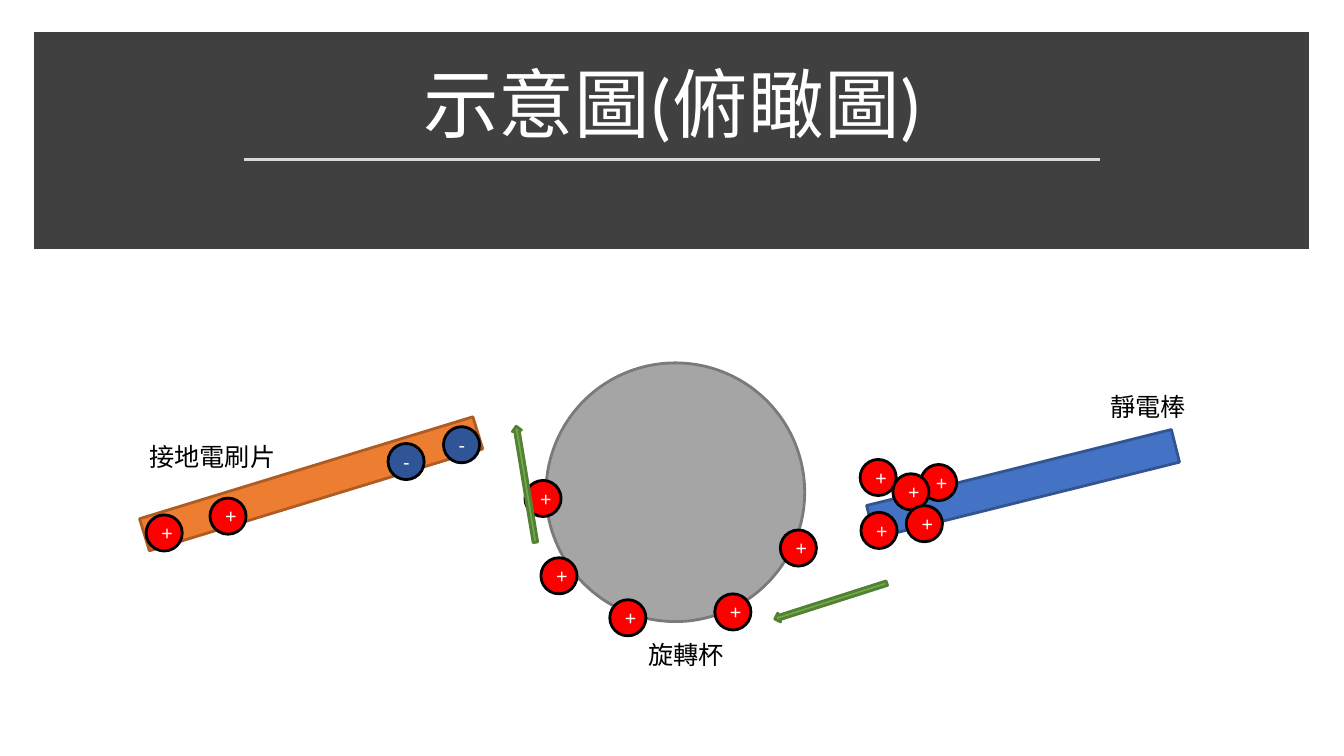
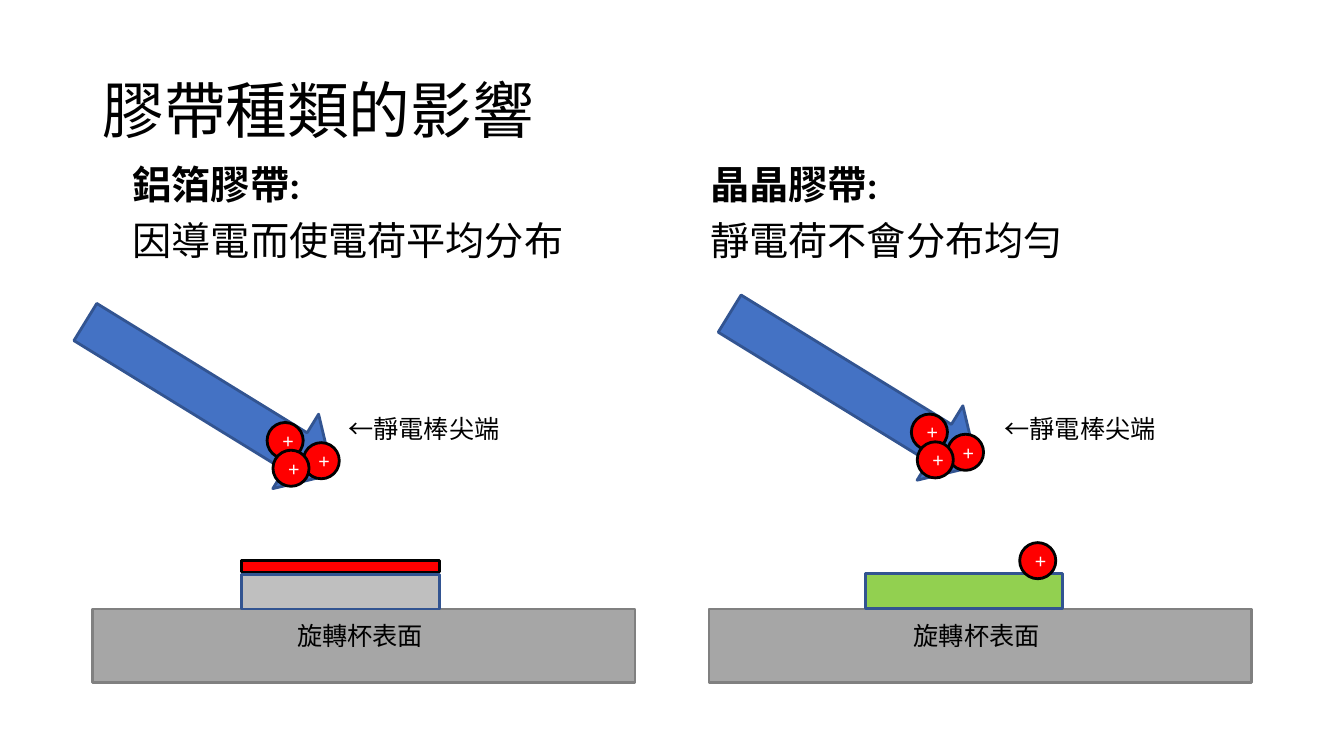
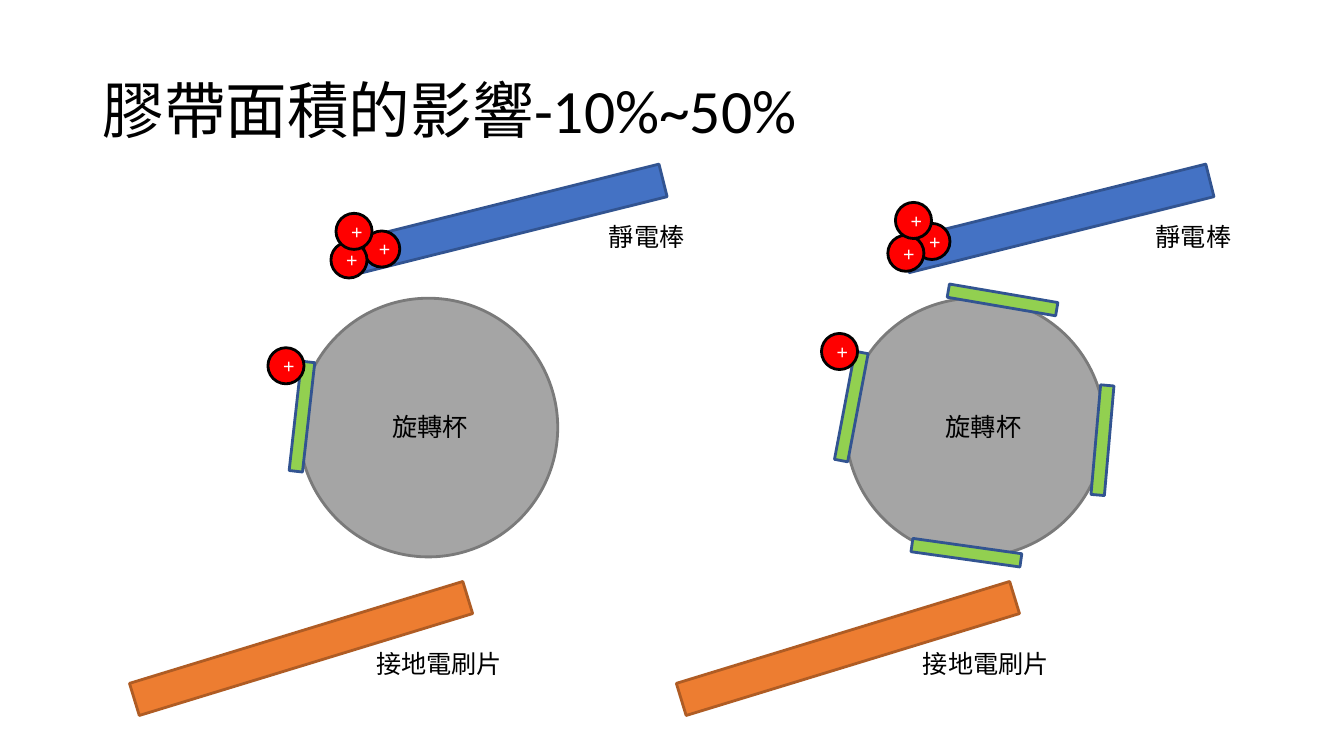
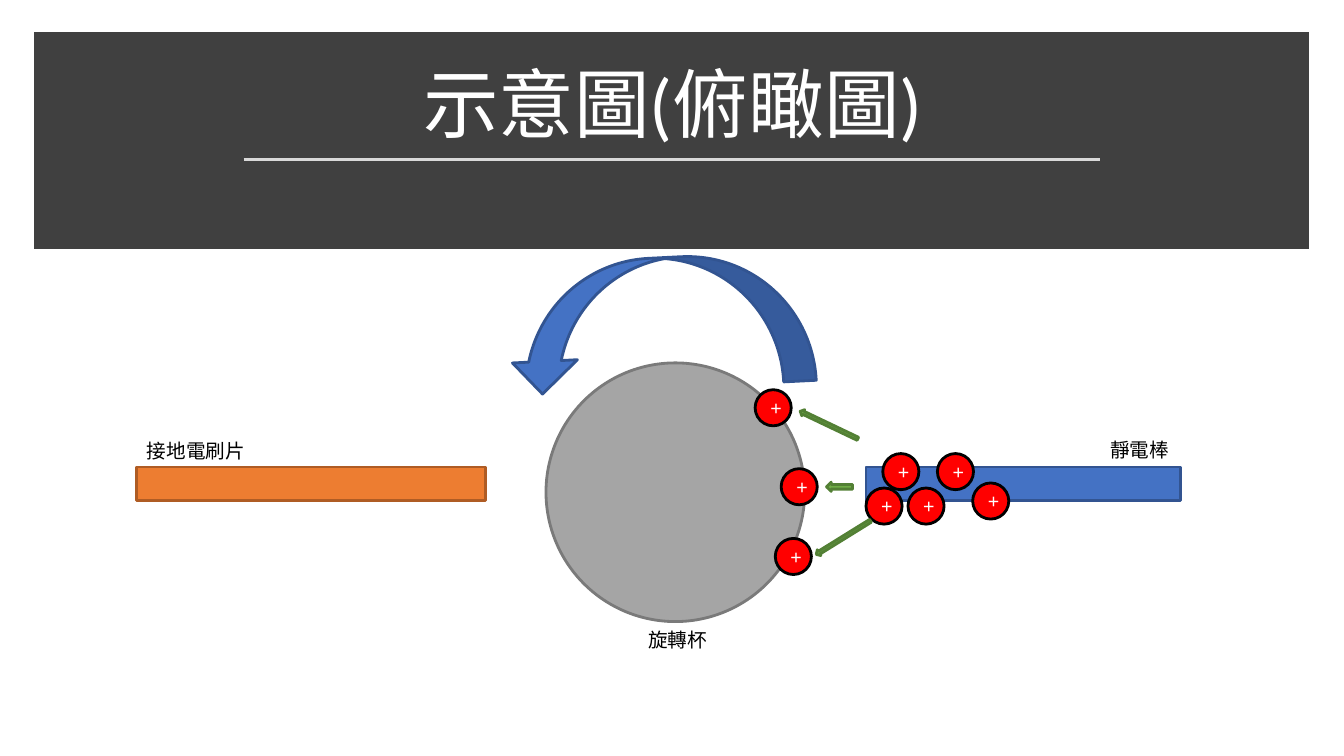
"""Build four slides on how charge moves in an electrostatic rotating cup."""
from dataclasses import dataclass, replace

from lxml import etree
from pptx import Presentation
from pptx.dml.color import RGBColor
from pptx.enum.shapes import MSO_CONNECTOR, MSO_SHAPE
from pptx.enum.text import MSO_ANCHOR, MSO_AUTO_SIZE, PP_ALIGN
from pptx.oxml.ns import qn
from pptx.util import Emu, Pt

RECTANGLE = MSO_SHAPE.RECTANGLE
OVAL = MSO_SHAPE.OVAL
RIGHT_ARROW = MSO_SHAPE.RIGHT_ARROW
DOWN_ARROW = MSO_SHAPE.DOWN_ARROW
CURVED_ARROW = MSO_SHAPE.CURVED_RIGHT_ARROW
LEFT, CENTER = PP_ALIGN.LEFT, PP_ALIGN.CENTER
TOP, MIDDLE, BOTTOM = MSO_ANCHOR.TOP, MSO_ANCHOR.MIDDLE, MSO_ANCHOR.BOTTOM

WHITE = RGBColor(0xFF, 0xFF, 0xFF)
BLACK = RGBColor(0, 0, 0)
CHARCOAL = RGBColor(0x40, 0x40, 0x40)
SILVER = RGBColor(0xD9, 0xD9, 0xD9)
RED = RGBColor(0xFF, 0, 0)
NAVY = RGBColor(0x2F, 0x55, 0x97)
BLUE = RGBColor(0x44, 0x72, 0xC4)
BLUE_EDGE = RGBColor(0x32, 0x54, 0x91)
ORANGE = RGBColor(0xED, 0x7D, 0x31)
ORANGE_EDGE = RGBColor(0xAF, 0x5C, 0x24)
CUP_GRAY = RGBColor(0xA5, 0xA5, 0xA5)
CUP_EDGE = RGBColor(0x7A, 0x7A, 0x7A)
SURFACE_GRAY = RGBColor(0xA6, 0xA6, 0xA6)
SURFACE_EDGE = RGBColor(0x80, 0x80, 0x80)
FOIL_GRAY = RGBColor(0xBF, 0xBF, 0xBF)
TAPE_GREEN = RGBColor(0x92, 0xD0, 0x50)
ARROW_GREEN = RGBColor(0x70, 0xAD, 0x47)
ARROW_EDGE = RGBColor(0x53, 0x80, 0x35)

COLUMNS, ROWS = 160, 90
CELL = 76200
TITLE_FONT, LABEL_FONT = "Calibri", "Arial"
TITLE_ONLY, TITLE_AND_BODY = 5, 1
CHARGE_SIZE, CUP_SIZE = 4.3, 30.8
ROD_TEXT, BRUSH_TEXT, CUP_TEXT = "靜電棒", "接地電刷片", "旋轉杯"


@dataclass(frozen=True)
class Box:
    """Place, size (in grid cells) and turn (in degrees) of an element."""
    left: float
    top: float
    width: float
    height: float
    turn: float = 0

    def moved(self, columns: float, rows: float = 0) -> "Box":
        """Return the same box shifted on the grid."""
        return replace(self, left=self.left + columns, top=self.top + rows)


@dataclass(frozen=True)
class Look:
    """Fill and outline of a shape."""
    fill: RGBColor
    edge: RGBColor
    weight: float = 2


@dataclass(frozen=True)
class Label:
    """Short caption beside a part of the drawing."""
    text: str
    left: float
    top: float
    width: float


@dataclass(frozen=True)
class Panel:
    """One cup with its tapes and charges."""
    shift: float
    cup_label: float
    tapes: tuple[Box, ...]
    charges: tuple[tuple[float, float], ...]


BAND = Look(CHARCOAL, CHARCOAL, 10)
ROD = Look(BLUE, BLUE_EDGE)
BRUSH = Look(ORANGE, ORANGE_EDGE)
CUP = Look(CUP_GRAY, CUP_EDGE)
SURFACE = Look(SURFACE_GRAY, SURFACE_EDGE)
FOIL = Look(FOIL_GRAY, BLUE_EDGE)
TAPE = Look(TAPE_GREEN, BLUE_EDGE)
POSITIVE = Look(RED, BLACK)
NEGATIVE = Look(NAVY, BLACK)
MOTION = Look(ARROW_GREEN, ARROW_EDGE)

PANELS = (
    Panel(0, 45.5, (Box(29.4, 48.8, 13.1, 1.6, 96.4),),
          ((43.3, 27.5), (39.4, 28.8), (40, 25.4), (31.9, 41.4))),
    Panel(65.1, 111.4,
          (Box(94.8, 47.6, 13.1, 1.6, 100.7), Box(112.8, 34.9, 13.1, 1.6, 189.7),
           Box(108.5, 65, 13.1, 1.6, 8), Box(124.7, 51.6, 13.1, 1.6, 275)),
          ((108.8, 26.6), (105.7, 28), (97.8, 39.7), (106.6, 24.1))),
)


def cells(count: float) -> Emu:
    """Turn grid cells into a length."""
    return Emu(round(count * CELL))


def frame_of(box: Box) -> tuple[Emu, Emu, Emu, Emu]:
    """Return left, top, width and height of a box as lengths."""
    return cells(box.left), cells(box.top), cells(box.width), cells(box.height)


def place(shape, box: Box) -> None:
    """Move a placeholder to a box."""
    shape.left, shape.top, shape.width, shape.height = frame_of(box)


def write(para, text: str, *, size: float, font: str = LABEL_FONT,
          color: RGBColor = BLACK, bold: bool = False, align=LEFT,
          spacing: float | None = None, before: float = 0) -> None:
    """Put formatted text into a paragraph."""
    para.alignment = align
    para.line_spacing = spacing
    para.space_before = Pt(before)
    span = para.add_run()
    span.text = text
    span.font.name = font
    span.font.size = Pt(size)
    span.font.bold = bold
    span.font.color.rgb = color


def add_part(page, kind, box: Box, look: Look):
    """Draw a preset shape."""
    shape = page.shapes.add_shape(kind, *frame_of(box))
    shape.rotation = box.turn
    shape.shadow.inherit = False
    shape.fill.solid()
    shape.fill.fore_color.rgb = look.fill
    shape.line.color.rgb = look.edge
    shape.line.width = Pt(look.weight)
    return shape


def add_charges(page, places, sign: str = "+", look: Look = POSITIVE) -> None:
    """Draw round charges carrying their sign."""
    for left, top in places:
        ball = add_part(page, OVAL, Box(left, top, CHARGE_SIZE, CHARGE_SIZE), look)
        write(ball.text_frame.paragraphs[0], sign, size=14, color=WHITE, align=CENTER)


def add_labels(page, labels, size: float = 18) -> None:
    """Draw captions that grow with their text."""
    for label in labels:
        box = Box(label.left, label.top, label.width, 4.8 if size == 18 else 4.1)
        frame = page.shapes.add_textbox(*frame_of(box)).text_frame
        frame.word_wrap = True
        frame.auto_size = MSO_AUTO_SIZE.SHAPE_TO_FIT_TEXT
        write(frame.paragraphs[0], label.text, size=size)


def add_cup(page, left: float, top: float) -> None:
    """Draw the rotating cup seen from above."""
    add_part(page, OVAL, Box(left, top, CUP_SIZE, CUP_SIZE), CUP)


def add_rod(page, left: float, top: float, turn: float = 346) -> None:
    """Draw the charged rod."""
    add_part(page, RECTANGLE, Box(left, top, 37.4, 4, turn), ROD)


def add_brush(page, left: float, top: float, turn: float = 343) -> None:
    """Draw the grounded brush."""
    add_part(page, RECTANGLE, Box(left, top, 41.5, 4, turn), BRUSH)


def set_title(page, text: str, box: Box, *, anchor=MIDDLE, **style) -> None:
    """Fill and place the title placeholder."""
    title = page.shapes.title
    place(title, box)
    frame = title.text_frame
    frame.auto_size = MSO_AUTO_SIZE.NONE
    frame.vertical_anchor = anchor
    write(frame.paragraphs[0], text, font=TITLE_FONT, spacing=0.9, **style)


def new_page(deck, layout: int):
    """Add a slide without date, footer or number."""
    return deck.slides.add_slide(deck.slide_layouts[layout])


def plain_page(deck, title: str, layout: int = TITLE_ONLY):
    """Add a slide with a black title at the left."""
    page = new_page(deck, layout)
    set_title(page, title, Box(11, 4.8, 138, 17.4), size=44)
    return page


def overview_page(deck, rod_turn: float, brush_turn: float):
    """Add a slide with the dark title band, the cup, the rod and the brush."""
    page = new_page(deck, TITLE_ONLY)
    band = add_part(page, RECTANGLE, Box(4.9, 4.6, 150.1, 24.2), BAND)
    etree.SubElement(band.line._get_or_add_ln(), qn("a:miter"), lim="800000")
    set_title(page, "示意圖(俯瞰圖)", Box(7, 6.1, 146.2, 12.2),
              anchor=BOTTOM, size=54, color=WHITE, align=CENTER)
    title = page.shapes.title.element
    title.getparent().append(title)
    rule = page.shapes.add_connector(MSO_CONNECTOR.STRAIGHT, cells(29), cells(19),
                                     cells(131), cells(19))
    rule.line.color.rgb = SILVER
    rule.line.width = Pt(1.75)
    etree.SubElement(rule.element.spPr, qn("a:effectLst"))
    add_cup(page, 65, 43.2)
    add_rod(page, 103.1, 55.6, rod_turn)
    add_brush(page, 16.3, 55.6, brush_turn)
    return page


def fill_notes(frame, heading: str, detail: str) -> None:
    """Write a bold heading and a line of detail without bullets."""
    frame.word_wrap = True
    frame.auto_size = MSO_AUTO_SIZE.NONE
    frame.vertical_anchor = TOP
    for para, text, bold in ((frame.paragraphs[0], heading, True),
                             (frame.add_paragraph(), detail, False)):
        write(para, text, size=28, font=TITLE_FONT, bold=bold, spacing=0.9, before=10)
        properties = para._p.get_or_add_pPr()
        properties.set("marL", str(cells(1.4)))
        properties.set("indent", "0")
        etree.SubElement(properties, qn("a:buNone"))


def build_turning(deck) -> None:
    """Draw charges carried round by the cup."""
    page = overview_page(deck, 346, 343)
    add_labels(page, (Label(BRUSH_TEXT, 16.6, 52, 19.8), Label(ROD_TEXT, 131, 46, 13.9),
                      Label(CUP_TEXT, 76, 75.5, 18.2)))
    add_charges(page, ((102.4, 54.7), (109.6, 55.3), (102.5, 61), (106.3, 56.4),
                       (107.9, 60.2), (62.5, 57.2), (64.4, 66.4), (72.6, 71.4),
                       (85.1, 70.7), (92.9, 63.1), (17.4, 61.3), (25, 59.3)))
    add_charges(page, ((52.8, 50.8), (46.2, 52.8)), "-", NEGATIVE)
    for box in (Box(91.9, 71, 14, 1.1, 162.3), Box(55.6, 57.1, 14, 1.1, 260.6)):
        add_part(page, RIGHT_ARROW, box, MOTION)


def build_tape_kinds(deck) -> None:
    """Compare foil tape with clear tape."""
    page = plain_page(deck, "膠帶種類的影響", TITLE_AND_BODY)
    notes = Box(13.2, 19.1, 62.4, 20.3)
    body = page.placeholders[1]
    place(body, notes)
    fill_notes(body.text_frame, "鋁箔膠帶:", "因導電而使電荷平均分布")
    side = page.shapes.add_textbox(*frame_of(notes.moved(68.8)))
    fill_notes(side.text_frame, "晶晶膠帶:", "靜電荷不會分布均勻")

    tip_charges = ((31.8, 50.3), (36.1, 52.7), (32.5, 53.6))
    for surface_shift, rod_shift, rod_drop, tip_left in ((0, 0, 0, 40.3),
                                                         (73.4, 76.7, -1, 118.4)):
        add_part(page, RECTANGLE, Box(11, 72.5, 64.6, 8.8).moved(surface_shift), SURFACE)
        add_labels(page, (Label("←靜電棒尖端", tip_left, 48.6, 25),
                          Label("旋轉杯表面", 34.2 + surface_shift, 73.2, 18.2)))
        rod = Box(19.7, 30.1, 10.4, 34.6, 301.6).moved(rod_shift, rod_drop)
        add_part(page, DOWN_ARROW, rod, ROD)
        add_charges(page, [(left + rod_shift, top + rod_drop) for left, top in tip_charges])

    add_part(page, RECTANGLE, Box(28.8, 68.4, 23.5, 4.1), FOIL)
    add_part(page, RECTANGLE, Box(28.8, 66.7, 23.5, 1.4), POSITIVE)
    add_part(page, RECTANGLE, Box(103, 68.3, 23.5, 4.1), TAPE)
    add_charges(page, ((121.4, 64.6),))


def build_tape_area(deck) -> None:
    """Compare a little tape with more tape."""
    page = plain_page(deck, "膠帶面積的影響-10%~50%")
    for panel in PANELS:
        shift = panel.shift
        add_cup(page, 35.6 + shift, 35.5)
        add_rod(page, 42.1 + shift, 24)
        add_brush(page, 15.1 + shift, 75.2)
        add_labels(page, (Label(BRUSH_TEXT, 43.6 + shift, 76.6, 19.8),
                          Label(ROD_TEXT, 71.3 + shift, 25.7, 13.9),
                          Label(CUP_TEXT, panel.cup_label, 48.4, 18.2)))
        for tape in panel.tapes:
            add_part(page, RECTANGLE, tape, TAPE)
        add_charges(page, panel.charges)


def build_jumping(deck) -> None:
    """Draw charges jumping from the rod to the cup."""
    page = overview_page(deck, 0, 0)
    add_labels(page, (Label(BRUSH_TEXT, 16.3, 51.7, 19.8), Label(ROD_TEXT, 131, 51.5, 13.9),
                      Label(CUP_TEXT, 76, 74.2, 18.2)), size=14)
    add_part(page, CURVED_ARROW, Box(70.8, 20.2, 15.5, 36.5, 87.1), ROD)
    add_charges(page, ((105.1, 54), (115.8, 57.5), (103.1, 58.1), (111.6, 54),
                       (108.1, 58.1), (93, 55.8), (89.9, 46.4), (92.3, 64.1)))
    for box in (Box(98.4, 57.4, 3.1, 1.1, 180), Box(94.9, 50.2, 7.6, 0.8, 205.5),
                Box(96.6, 63.6, 7.6, 0.8, 148.2)):
        add_part(page, RIGHT_ARROW, box, MOTION)


def main() -> None:
    """Build and save the deck."""
    deck = Presentation()
    deck.slide_width, deck.slide_height = cells(COLUMNS), cells(ROWS)
    for build in (build_turning, build_tape_kinds, build_tape_area, build_jumping):
        build(deck)
    deck.save("out.pptx")


if __name__ == "__main__":
    main()
